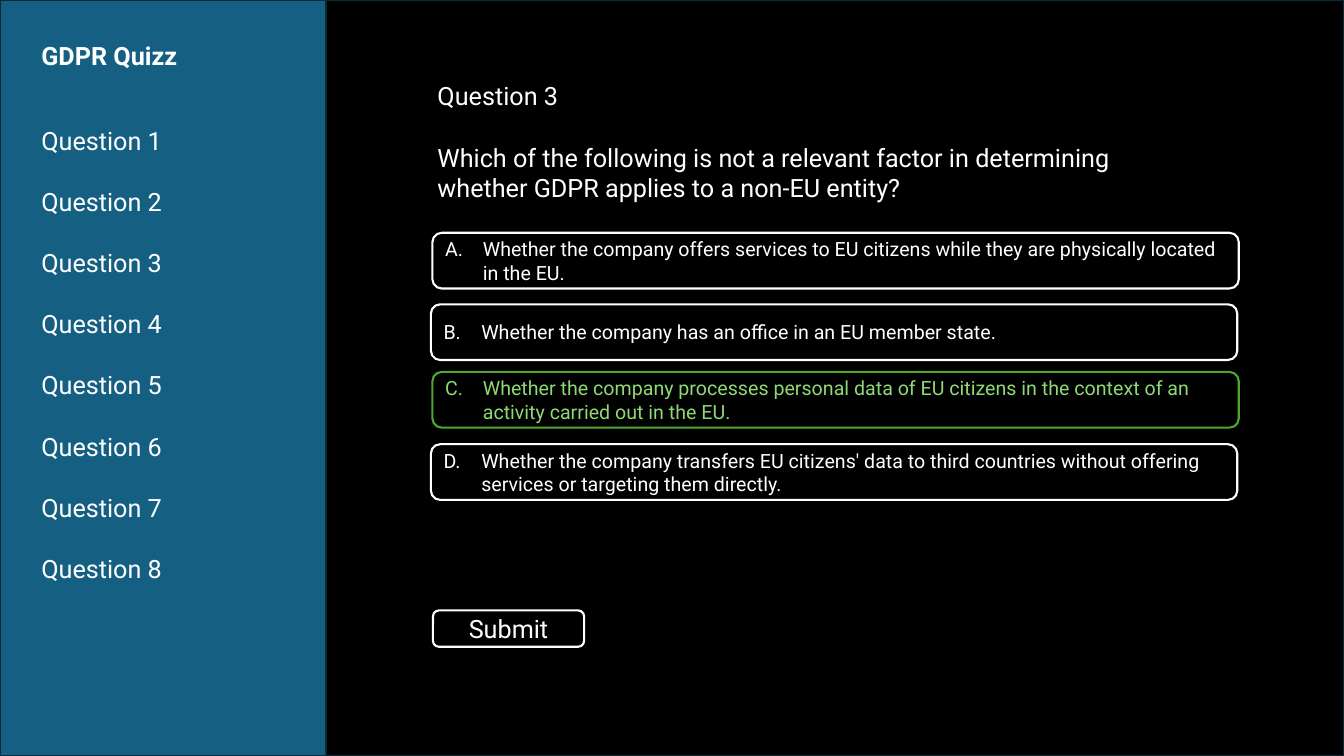
"""Build a GDPR quiz slide with a question menu and four answer options."""
from dataclasses import dataclass

from lxml.etree import SubElement
from pptx import Presentation
from pptx.dml.color import RGBColor
from pptx.enum.shapes import MSO_SHAPE as Shape
from pptx.enum.text import MSO_ANCHOR as Anchor, MSO_AUTO_SIZE as AutoSize, PP_ALIGN as Align
from pptx.oxml.ns import qn
from pptx.util import Pt


@dataclass(frozen=True)
class Theme:
    font: str = "Roboto"
    large: int = 18
    small: int = 14
    black: str = "000000"
    white: str = "FFFFFF"
    blue: str = "156082"
    edge: str = "092A39"
    green: str = "4EA72E"
    light_green: str = "8ED973"


theme = Theme()


def add_box(kind, left, top, width, height, line, fill=None):
    box = slide.shapes.add_shape(kind, Pt(left), Pt(top), Pt(width), Pt(height))
    box.shadow.inherit = False
    box.line.color.rgb = RGBColor.from_string(line)
    box.line.width = Pt(1.5)
    if fill:
        box.fill.solid()
        box.fill.fore_color.rgb = RGBColor.from_string(fill)
    else:
        box.fill.background()
    return box


def write(paragraph, text, size=theme.large, color=theme.white, bold=False, align=Align.LEFT):
    paragraph.alignment = align
    run = paragraph.add_run()
    run.text = text
    run.font.name = theme.font
    run.font.size = Pt(size)
    run.font.bold = bold
    run.font.color.rgb = RGBColor.from_string(color)


deck = Presentation()
deck.slide_width, deck.slide_height = Pt(960), Pt(540)
slide = deck.slides.add_slide(deck.slide_layouts[3])
heading, menu, question = slide.placeholders

main_panel = add_box(Shape.RECTANGLE, 231, 0, 729, 540, theme.edge, theme.black)
sidebar = add_box(Shape.RECTANGLE, 0, 0, 233, 540, theme.edge, theme.blue)
for panel in (main_panel, sidebar):
    heading.element.addprevious(panel.element)

passages = [
    (heading, (22.3, 25.2, 168, 29), ["GDPR Quizz"]),
    (menu, (22.3, 85.7, 168, 334), [f"Question {number}" for number in range(1, 9)]),
    (question, (305.3, 54, 529, 117), [
        "Question 3",
        "Which of the following is not a relevant factor in determining "
        "whether GDPR applies to a non-EU entity?",
    ]),
]
for holder, (left, top, width, height), lines in passages:
    holder.left, holder.top, holder.width, holder.height = Pt(left), Pt(top), Pt(width), Pt(height)
    frame = holder.text_frame
    frame.word_wrap = True
    frame.auto_size = AutoSize.NONE
    frame.vertical_anchor = Anchor.TOP
    for index, line in enumerate(lines):
        paragraph = frame.add_paragraph() if index else frame.paragraphs[0]
        properties = paragraph._p.get_or_add_pPr()
        properties.set("marL", "0")
        properties.set("indent", "0")
        SubElement(properties, qn("a:buNone"))
        paragraph.space_before = Pt(22.1 if index else 0)
        write(paragraph, line, bold=holder is heading)

answers = [
    (308.9, 166.3, "Whether the company offers services to EU citizens while they are "
     "physically located in the EU."),
    (307.8, 217.4, "Whether the company has an office in an EU member state."),
    (308.9, 265.7, "Whether the company processes personal data of EU citizens in the "
     "context of an activity carried out in the EU."),
    (307.8, 317.3, "Whether the company transfers EU citizens' data to third countries "
     "without offering services or targeting them directly."),
]
correct = 3
for number, (left, top, answer) in enumerate(answers, start=1):
    outline, ink = (theme.green, theme.light_green) if number == correct else (theme.white, theme.white)
    option = add_box(Shape.ROUNDED_RECTANGLE, left, top, 576, 39.8, outline)
    option.text_frame.word_wrap = True
    option.text_frame.vertical_anchor = Anchor.MIDDLE
    paragraph = option.text_frame.paragraphs[0]
    properties = paragraph._p.get_or_add_pPr()
    properties.set("marL", str(Pt(27)))
    properties.set("indent", str(Pt(-27)))
    SubElement(properties, qn("a:buFont"), typeface=theme.font)
    SubElement(properties, qn("a:buAutoNum"), type="alphaUcPeriod", startAt=str(number))
    write(paragraph, answer, theme.small, ink)

submit = add_box(Shape.ROUNDED_RECTANGLE, 309.3, 436, 108, 26, theme.white)
submit.text_frame.vertical_anchor = Anchor.MIDDLE
write(submit.text_frame.paragraphs[0], "Submit", align=Align.CENTER)

deck.save("out.pptx")
